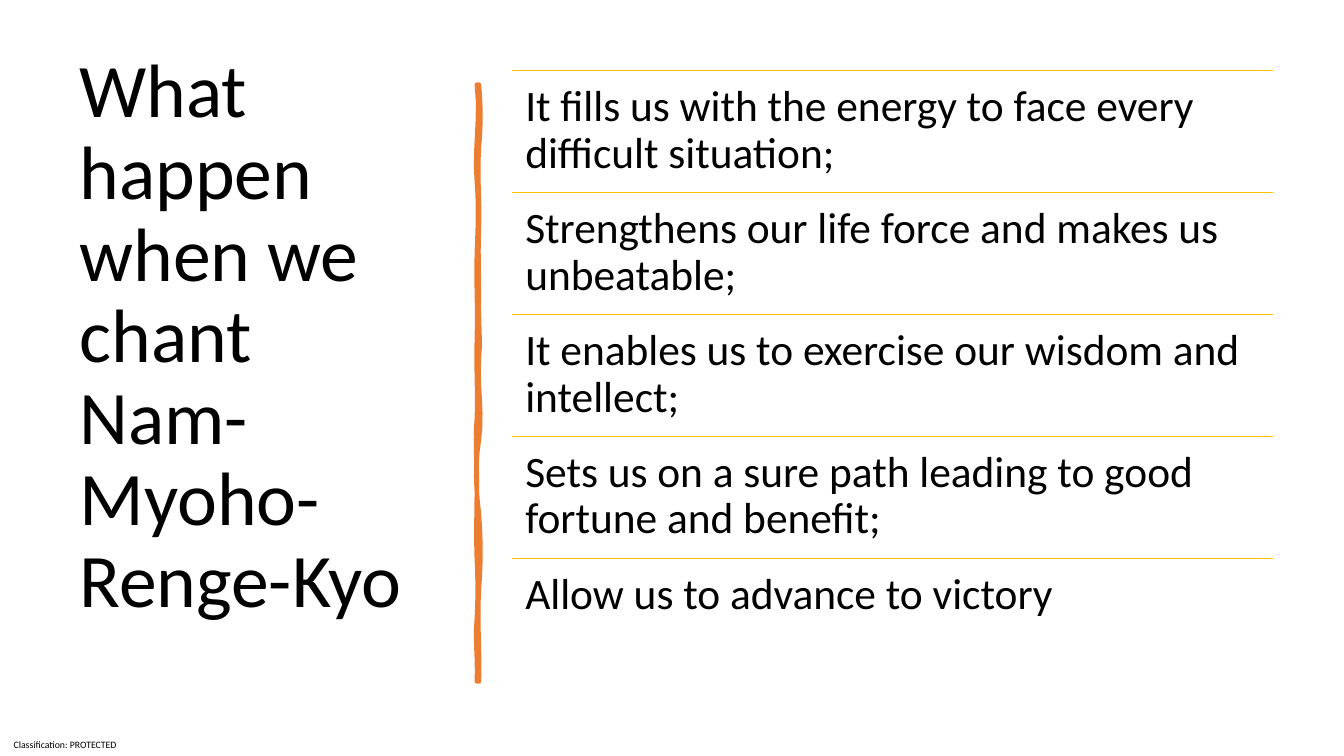
from lxml.etree import SubElement
from pptx import Presentation
from pptx.dml.color import RGBColor
from pptx.enum.shapes import MSO_CONNECTOR as Link
from pptx.enum.text import MSO_ANCHOR as Anchor, PP_ALIGN as Align
from pptx.oxml.ns import qn
from pptx.util import Inches, Pt

BLACK, GOLD, ORANGE = "000000", "FFC000", "ED7D31"
LEFT, TOP, WIDTH, ROW = 5.08, 0.7, 7.55, 1.21  # grid of the benefit list

BENEFITS = [
    "It fills us with the energy to face every difficult situation;",
    "Strengthens our life force and makes us unbeatable;",
    "It enables us to exercise our wisdom and intellect;",
    "Sets us on a sure path leading to good fortune and benefit;",
    "Allow us to advance to victory",
]

# Edges of the brush stroke: two control x values and the end y of each curve
RIGHT = [(4.77, 4.77, 1.46), (4.73, 4.76, 2.26), (4.74, 4.75, 2.94),
         (4.74, 4.77, 3.56), (4.73, 4.79, 4.36), (4.71, 4.72, 5.1),
         (4.77, 4.77, 5.84), (4.73, 4.76, 6.76)]
BACK = [(4.74, 4.71, 6.13), (4.74, 4.74, 5.57), (4.72, 4.73, 4.77),
        (4.73, 4.71, 4.15), (4.74, 4.72, 3.35), (4.74, 4.72, 2.5),
        (4.74, 4.75, 1.81), (4.7, 4.77, 0.84)]


def color(code):
    return RGBColor.from_string(code)


def add_text(slide, words, box, size, inset, anchor=Anchor.TOP,
             align=Align.LEFT, space=0.9):
    frame = slide.shapes.add_textbox(*map(Inches, box)).text_frame
    frame.word_wrap = True
    frame.vertical_anchor = anchor
    frame.margin_left = frame.margin_right = Inches(inset[0])
    frame.margin_top = frame.margin_bottom = Inches(inset[1])
    para = frame.paragraphs[0]
    para.text = words
    para.alignment = align
    para.line_spacing = space
    para.font.name = "Calibri"
    para.font.size = Pt(size)
    para.font.color.rgb = color(BLACK)


def add_rule(slide, y):
    ends = map(Inches, (LEFT, y, LEFT + WIDTH, y))
    rule = slide.shapes.add_connector(Link.STRAIGHT, *ends)
    rule.line.color.rgb = color(GOLD)
    rule.line.width = Pt(1)
    SubElement(rule.line._get_or_add_ln().getparent(), qn("a:effectLst"))


def trace(x, y, curves, steps=6):
    """Points along a wavy edge that returns to x after each curve."""
    points = []
    for first, second, end in curves:
        for step in range(1, steps + 1):
            t = step / steps
            u = 1 - t
            wave = (x * (u ** 3 + t ** 3)
                    + 3 * u * t * (u * first + t * second))
            points.append((Inches(wave), Inches(y + (end - y) * t)))
        y = end
    return points


def add_stroke(slide):
    right, left, top, foot = 4.75, 4.73, 0.84, 6.76
    pen = slide.shapes.build_freeform(Inches(right), Inches(top))
    corner = [(Inches(left), Inches(foot))]
    pen.add_line_segments(trace(right, top, RIGHT) + corner
                          + trace(left, foot, BACK))
    shape = pen.convert_to_shape()
    shape.shadow.inherit = False
    shape.fill.solid()
    shape.fill.fore_color.rgb = color(ORANGE)
    shape.line.color.rgb = color(ORANGE)
    shape.line.width = Pt(3.25)


def main():
    deck = Presentation()
    deck.slide_width, deck.slide_height = Inches(13.33), Inches(7.5)
    slide = deck.slides.add_slide(deck.slide_layouts[6])

    # Classification mark
    add_text(slide, "Classification: PROTECTED", (0, 7.27, 1.29, 0.23), 7,
             (0, 0), Anchor.MIDDLE, Align.CENTER, 1.0)

    # Title and divider
    add_text(slide, "What happen when we chant Nam-Myoho-Renge-Kyo",
             (0.69, 0.3, 3.74, 6.11), 54, (0.1, 0.05), Anchor.MIDDLE)
    add_stroke(slide)

    # Ruled list of benefits
    for row, words in enumerate(BENEFITS):
        y = TOP + row * ROW
        add_rule(slide, y)
        add_text(slide, words, (LEFT, y, WIDTH, ROW), 31, (0.13, 0.13))

    deck.save("out.pptx")


if __name__ == "__main__":
    main()
